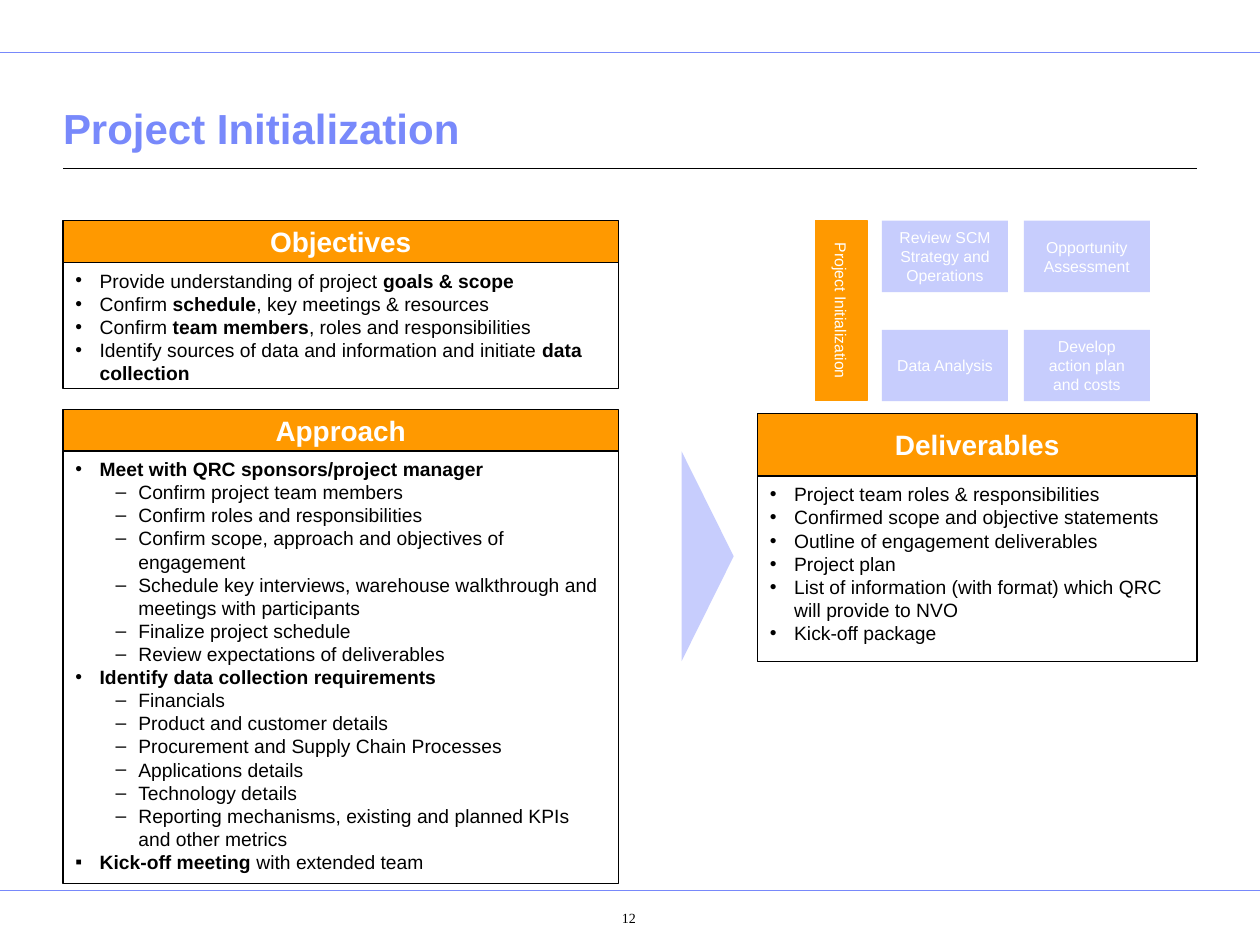
from lxml import etree
from pptx import Presentation
from pptx.dml.color import RGBColor
from pptx.enum.shapes import MSO_CONNECTOR, MSO_SHAPE
from pptx.enum.text import MSO_ANCHOR, PP_ALIGN
from pptx.oxml.ns import qn
from pptx.util import Cm, Pt

LEFT, CENTER = PP_ALIGN.LEFT, PP_ALIGN.CENTER
TOP, MIDDLE, BOTTOM = MSO_ANCHOR.TOP, MSO_ANCHOR.MIDDLE, MSO_ANCHOR.BOTTOM
RECT, ARROW = MSO_SHAPE.RECTANGLE, MSO_SHAPE.ISOSCELES_TRIANGLE
LINE = MSO_CONNECTOR.STRAIGHT

HEX = {"blue": "7889FB", "pale": "C7CDFD", "orange": "FF9900",
       "black": "000000", "white": "FFFFFF"}

# Left margin and hanging indent in cm for each bullet mark
INDENT = {"•": (0.49, 0.49), "▪": (0.49, 0.49), "–": (1.27, 0.46)}

GOALS = [
    "• Provide understanding of project **goals & scope**",
    "• Confirm **schedule**, key meetings & resources",
    "• Confirm **team members**, roles and responsibilities",
    "• Identify sources of data and information and initiate **data collection**",
]
STEPS = [
    "• **Meet with QRC sponsors/project manager**",
    "– Confirm project team members",
    "– Confirm roles and responsibilities",
    "– Confirm scope, approach and objectives of engagement",
    "– Schedule key interviews, warehouse walkthrough and meetings with participants",
    "– Finalize project schedule",
    "– Review expectations of deliverables",
    "• **Identify data collection requirements**",
    "– Financials",
    "– Product and customer details",
    "– Procurement and Supply Chain Processes",
    "– Applications details",
    "– Technology details",
    "– Reporting mechanisms, existing and planned KPIs and other metrics",
    "▪ **Kick-off meeting** with extended team",
]
RESULTS = [
    "• Project team roles & responsibilities",
    "• Confirmed scope and objective statements",
    "• Outline of engagement deliverables",
    "• Project plan",
    "• List of information (with format) which QRC will provide to NVO",
    "• Kick-off package",
]
PHASES = [["Review SCM Strategy and Operations", "Opportunity Assessment"],
          ["Data Analysis", "Develop action plan and costs"]]


def color(name):
    return RGBColor.from_string(HEX[name])


def bullet(para, mark):
    left, hang = INDENT[mark]
    props = para._p.get_or_add_pPr()
    props.set("marL", str(Cm(left)))
    props.set("indent", str(-Cm(hang)))
    if mark == "–":
        props.set("lvl", "1")
    tint = etree.SubElement(props, qn("a:buClr"))
    etree.SubElement(tint, qn("a:srgbClr"), val=HEX["black"])
    etree.SubElement(props, qn("a:buFont"), typeface="Arial")
    etree.SubElement(props, qn("a:buChar"), char=mark)


def write(shape, lines, size=11, font="Arial", ink="black", bold=False,
          align=LEFT, anchor=MIDDLE, wrap=True, pad=(0.25, 0.13),
          marks=False):
    """Fill a shape with lines; ** switches bold, marks reads a leading bullet."""
    frame = shape.text_frame
    frame.word_wrap = wrap
    frame.vertical_anchor = anchor
    frame.margin_left = frame.margin_right = Cm(pad[0])
    frame.margin_top = frame.margin_bottom = Cm(pad[1])
    for i, line in enumerate(lines):
        para = frame.add_paragraph() if i else frame.paragraphs[0]
        para.alignment = align
        para.space_before = Pt(0)
        if marks:
            mark, line = line.split(" ", 1)
            bullet(para, mark)
        for j, part in enumerate(line.split("**")):
            if part:
                run = para.add_run()
                run.text = part
                run.font.size = Pt(size)
                run.font.name = font
                run.font.bold = bold or j % 2 == 1
                run.font.color.rgb = color(ink)


def block(slide, x, y, w, h, fill=None, edge=None, kind=RECT):
    shape = slide.shapes.add_shape(kind, Cm(x), Cm(y), Cm(w), Cm(h))
    shape.shadow.inherit = False
    if fill:
        shape.fill.solid()
        shape.fill.fore_color.rgb = color(fill)
    else:
        shape.fill.background()
    if edge:
        shape.line.color.rgb = color(edge)
        shape.line.width = Pt(0.75)
    else:
        shape.line.fill.background()
    return shape


def rule(slide, x, y, end, ink, width):
    line = slide.shapes.add_connector(LINE, Cm(x), Cm(y), Cm(end), Cm(y))
    line.line.color.rgb = color(ink)
    line.line.width = Pt(width)
    etree.SubElement(line._element.spPr, qn("a:effectLst"))


def label(slide, x, y, w, h, text, **form):
    box = slide.shapes.add_textbox(Cm(x), Cm(y), Cm(w), Cm(h))
    write(box, [text], **form)


def panel(slide, x, y, w, head, body, title, lines):
    """Orange heading with a bulleted box right below it."""
    write(block(slide, x, y, w, head, "orange", "black"), [title], size=16,
          ink="white", bold=True, align=CENTER, wrap=False)
    write(block(slide, x, y + head, w, body, edge="black"), lines,
          anchor=TOP, marks=True)


def phases(slide):
    top, form = 4.45, {"size": 9, "ink": "white", "align": CENTER}
    now = block(slide, 16.44, top, 1.04, 3.63, "orange", "orange")
    write(now, ["Project Initialization"], pad=(0.13, 0.25), **form)
    now.text_frame._txBody.bodyPr.set("vert", "vert")
    for i, row in enumerate(PHASES):
        for j, text in enumerate(row):
            tile = block(slide, 17.78 + 2.86 * j, top + 2.2 * i, 2.54, 1.44, "pale")
            write(tile, [text], **form)


def main():
    deck = Presentation()
    deck.slide_width, deck.slide_height = Cm(25.4), Cm(19.05)
    slide = deck.slides.add_slide(deck.slide_layouts[5])

    rule(slide, 0, 1.06, 25.4, "blue", 0.5)
    rule(slide, 0, 17.96, 25.4, "blue", 0.5)
    rule(slide, 1.27, 3.4, 24.13, "black", 0.75)

    title = slide.shapes.title
    title.left, title.top = Cm(1.27), Cm(1.62)
    title.width, title.height = Cm(22.86), Cm(1.59)
    write(title, ["Project Initialization"], size=24, ink="blue", bold=True,
          anchor=BOTTOM, pad=(0, 0.13))

    panel(slide, 1.27, 4.45, 11.2, 0.84, 2.54, "Objectives", GOALS)
    panel(slide, 1.27, 8.25, 11.2, 0.84, 8.72, "Approach", STEPS)
    panel(slide, 15.27, 8.33, 8.86, 1.27, 3.73, "Deliverables", RESULTS)
    block(slide, 12.15, 10.69, 4.23, 1.05, "pale", kind=ARROW).rotation = 90
    phases(slide)

    label(slide, 11.22, 18.1, 2.92, 0.8, "12", size=8,
          font="Times New Roman", align=CENTER)
    deck.save("out.pptx")


if __name__ == "__main__":
    main()
